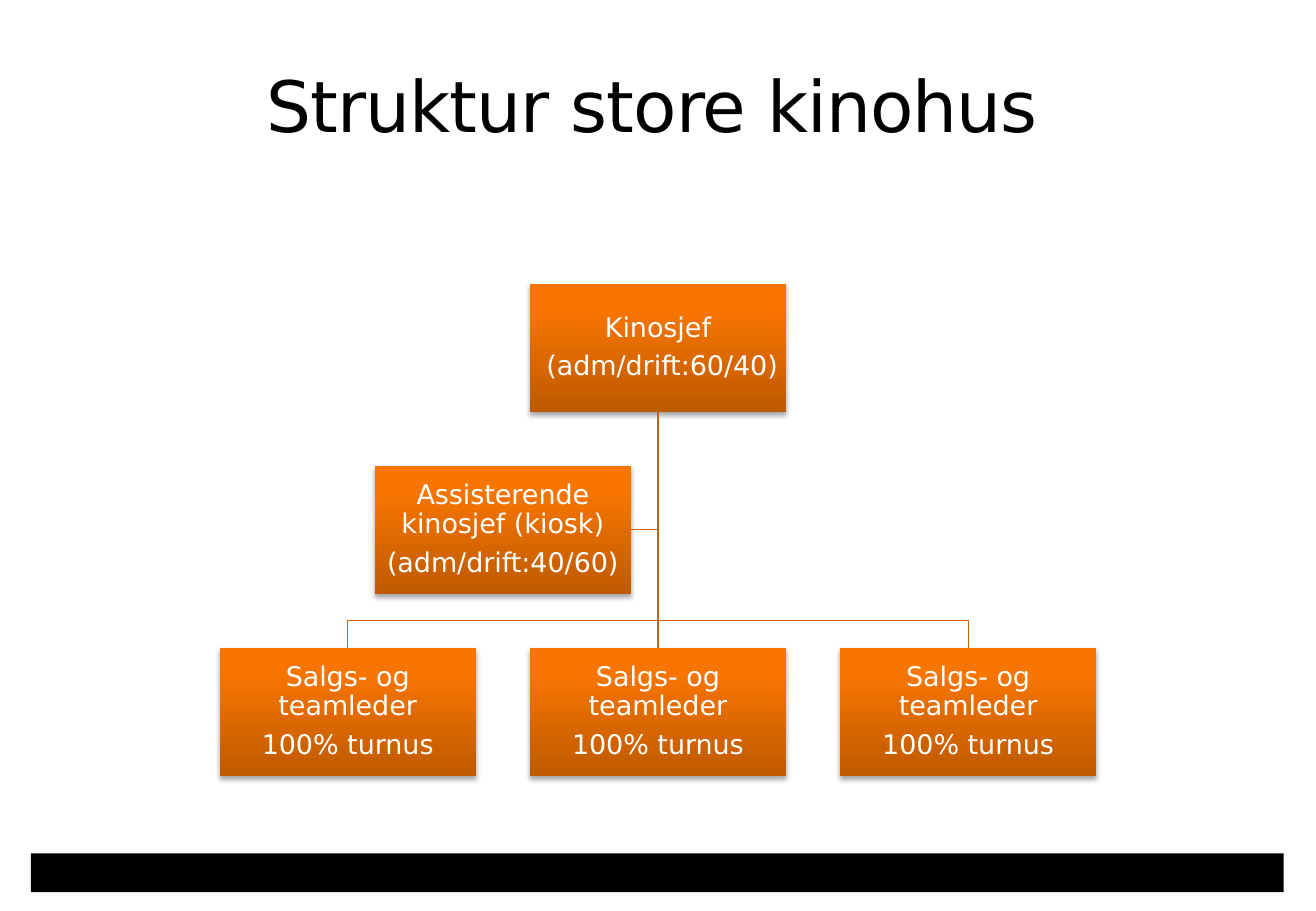
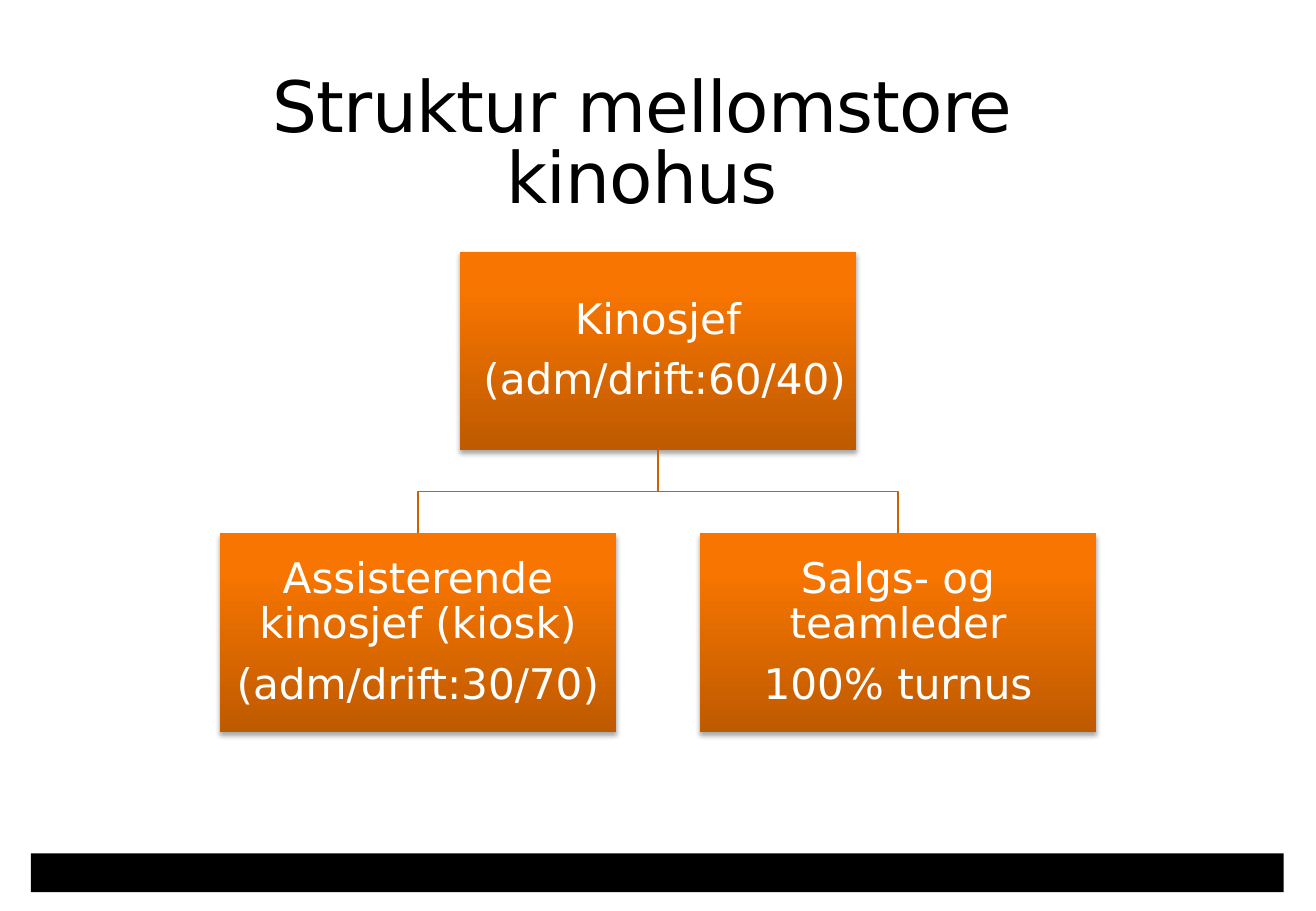
from dataclasses import dataclass

from lxml import etree
from pptx import Presentation
from pptx.dml.color import RGBColor
from pptx.enum.shapes import MSO_CONNECTOR, MSO_SHAPE
from pptx.enum.text import MSO_ANCHOR, PP_ALIGN
from pptx.oxml.ns import qn
from pptx.util import Pt

RECT = MSO_SHAPE.RECTANGLE
STRAIGHT = MSO_CONNECTOR.STRAIGHT
CENTER = PP_ALIGN.CENTER
TOP, MIDDLE = MSO_ANCHOR.TOP, MSO_ANCHOR.MIDDLE
SIDE_TOP, SIDE_BOTTOM = 0, 2


@dataclass(frozen=True)
class Theme:
    font: str = "DejaVu Sans"
    ink: RGBColor = RGBColor(0x00, 0x00, 0x00)
    on_box: RGBColor = RGBColor(0xFF, 0xFF, 0xFF)
    box_light: RGBColor = RGBColor(0xF7, 0x75, 0x00)
    box_dark: RGBColor = RGBColor(0xBE, 0x5A, 0x00)
    line: RGBColor = RGBColor(0xCC, 0x61, 0x00)
    line_width: float = 0.75
    title_size: float = 42
    title_leading: float = 42.2
    title_spacing: float = -0.5
    large_size: float = 25
    small_size: float = 16


THEME = Theme()
CHART_CENTER = 390
CHART_WIDTH = 519.7
GAP_RATIO = 0.21


def write(tf, lines, *, size, color, leading, after=0, spacing=0, anchor=TOP, inset=0):
    tf.word_wrap = True
    tf.vertical_anchor = anchor
    tf.margin_left = tf.margin_right = tf.margin_top = tf.margin_bottom = Pt(inset)
    for i, line in enumerate(lines):
        p = tf.add_paragraph() if i else tf.paragraphs[0]
        p.alignment = CENTER
        p.line_spacing = leading
        p.space_after = Pt(after)
        r = p.add_run()
        r.text = line
        r.font.name = THEME.font
        r.font.size = Pt(size)
        r.font.color.rgb = color
        if spacing:
            r.font._element.set("spc", str(round(spacing * 100)))


def add_rect(s, x, y, w, h):
    sp = s.shapes.add_shape(RECT, Pt(x), Pt(y), Pt(w), Pt(h))
    sp.shadow.inherit = False
    sp.line.fill.background()
    return sp


def add_soft_shadow(sp):
    effects = sp._element.spPr.find(qn("a:effectLst"))
    shadow = etree.SubElement(effects, qn("a:outerShdw"), blurRad=str(Pt(3.1)),
                              dist=str(Pt(1.8)), dir="5400000", rotWithShape="0")
    color = etree.SubElement(shadow, qn("a:srgbClr"), val=str(THEME.ink))
    etree.SubElement(color, qn("a:alpha"), val="35000")


def add_box(s, center, y, w, h, lines, size):
    sp = add_rect(s, center - w / 2, y, w, h)
    sp.fill.gradient()
    sp.fill.gradient_angle = 90
    stops = sp.fill.gradient_stops
    for stop, position, color in zip(stops, (0, 0.8), (THEME.box_dark, THEME.box_light)):
        stop.position = position
        stop.color.rgb = color
    add_soft_shadow(sp)
    write(sp.text_frame, lines, size=size, color=THEME.on_box, leading=0.9,
          after=0.35 * size, anchor=MIDDLE, inset=0.06 * size)
    return sp


def style_line(line):
    line.color.rgb = THEME.line
    line.width = Pt(THEME.line_width)


def add_elbow(s, *points):
    start, *rest = [(Pt(x), Pt(y)) for x, y in points]
    builder = s.shapes.build_freeform(*start)
    builder.add_line_segments(rest, close=False)
    sp = builder.convert_to_shape()
    sp.shadow.inherit = False
    sp.fill.background()
    style_line(sp.line)


def join_boxes(s, upper, lower):
    cn = s.shapes.add_connector(STRAIGHT, 0, 0, 0, 0)
    cn.begin_connect(upper, SIDE_BOTTOM)
    cn.end_connect(lower, SIDE_TOP)
    style_line(cn.line)
    etree.SubElement(cn._element.spPr, qn("a:effectLst"))


def add_org_chart(s, top, size, head, leaves, assistant=None):
    n = len(leaves)
    w = CHART_WIDTH / (n + GAP_RATIO * (n - 1))
    h, gap = w / 2, GAP_RATIO * w
    row = h + gap
    leaf_top = top + row * (2 if assistant else 1)
    bus = leaf_top - gap / 2
    start = (CHART_CENTER, top + h)

    head_box = add_box(s, CHART_CENTER, top, w, h, head, size)
    for i, lines in enumerate(leaves):
        offset = i - (n - 1) / 2
        center = CHART_CENTER + offset * (w + gap)
        box = add_box(s, center, leaf_top, w, h, lines, size)
        if offset:
            add_elbow(s, start, (CHART_CENTER, bus), (center, bus), (center, leaf_top))
        else:
            join_boxes(s, head_box, box)
    if assistant:
        right, y = CHART_CENTER - gap / 2, top + row
        add_box(s, right - w / 2, y, w, h, assistant, size)
        add_elbow(s, start, (CHART_CENTER, y + h / 2), (right, y + h / 2))


def add_slide(prs, title, title_left):
    s = prs.slides.add_slide(prs.slide_layouts[6])
    band = add_rect(s, 18.4, 505.8, 742.5, 23)
    band.fill.solid()
    band.fill.fore_color.rgb = THEME.ink
    tb = s.shapes.add_textbox(Pt(title_left), Pt(44.8), Pt(551.5), Pt(89.3))
    write(tb.text_frame, [title], size=THEME.title_size, color=THEME.ink,
          leading=Pt(THEME.title_leading), spacing=THEME.title_spacing)
    return s


def main():
    prs = Presentation()
    prs.slide_width, prs.slide_height = Pt(780), Pt(540)

    head = ["Kinosjef", " (adm/drift:60/40)"]
    deputy = "Assisterende kinosjef (kiosk)"
    team_leader = ["Salgs- og teamleder", "100% turnus"]

    s = add_slide(prs, "Struktur store kinohus", 110.6)
    add_org_chart(s, 168.2, THEME.small_size, head, [team_leader] * 3,
                  assistant=[deputy, "(adm/drift:40/60)"])

    s = add_slide(prs, "Struktur mellomstore kinohus", 104.8)
    add_org_chart(s, 149.3, THEME.large_size, head,
                  [[deputy, "(adm/drift:30/70)"], team_leader])

    prs.save("out.pptx")


if __name__ == "__main__":
    main()
